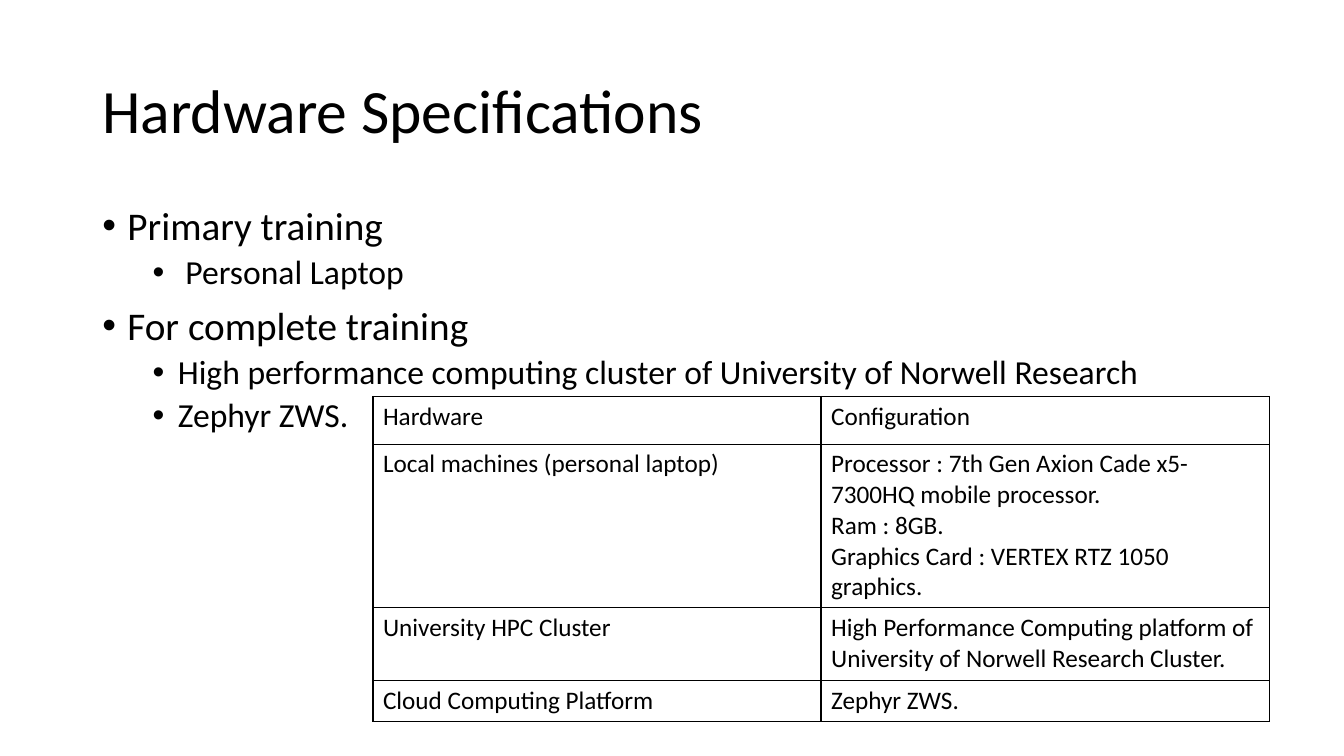
import dataclasses
import pptx
import pptx.dml.color
import pptx.enum.text
import pptx.oxml
import pptx.oxml.ns
import pptx.slide
import pptx.util

COLUMNS, ROWS = 160, 90
CELL = pptx.util.Inches(7.5) // ROWS
BLACK = pptx.dml.color.RGBColor(0, 0, 0)
WHITE = pptx.dml.color.RGBColor(255, 255, 255)
FONT = "Calibri"


@dataclasses.dataclass(frozen=True)
class Area:
    column: float
    row: float
    columns: float
    rows: float

    def lengths(self) -> list[int]:
        return [grid(n) for n in dataclasses.astuple(self)]


@dataclasses.dataclass(frozen=True)
class Level:
    size: int
    before: int
    indent: float


@dataclasses.dataclass(frozen=True)
class Bullet:
    text: str
    level: int


@dataclasses.dataclass(frozen=True)
class Machine:
    hardware: str
    configuration: str
    rows: float


TITLE_AREA = Area(11, 4.8, 138, 17.4)
BODY_AREA = Area(11, 24, 138, 57.1)
TABLE_AREA = Area(44.4, 47.2, 106.7, 38.5)
LEVELS = [Level(28, 10, 3), Level(24, 5, 9)]
HANGING = 3

TRAINING = [
    Bullet("Primary training", 0),
    Bullet(" Personal Laptop", 1),
    Bullet("For complete training", 0),
    Bullet("High performance computing cluster of University of Norwell Research", 1),
    Bullet("Zephyr ZWS.", 1),
]
MACHINES = [
    Machine("Hardware", "Configuration", 5.64),
    Machine(
        "Local machines (personal laptop)",
        "Processor : 7th Gen Axion Cade x5-7300HQ mobile processor.\n"
        "Ram : 8GB.\nGraphics Card : VERTEX RTZ 1050 graphics.",
        19.5,
    ),
    Machine(
        "University HPC Cluster",
        "High Performance Computing platform of\nUniversity of Norwell Research Cluster.",
        8.64,
    ),
    Machine("Cloud Computing Platform", "Zephyr ZWS.", 4.72),
]


def grid(cells: float) -> int:
    return round(cells * CELL)


def apply(target: object, values: dict[str, object]) -> None:
    for name, value in values.items():
        setattr(target, name, value)


def style_font(font: object, size: float) -> None:
    apply(font, {"name": FONT, "size": pptx.util.Pt(size)})
    font.color.rgb = BLACK


def add_text(slide: pptx.slide.Slide, area: Area, anchor: object) -> object:
    frame = slide.shapes.add_textbox(*area.lengths()).text_frame
    apply(frame, {
        "word_wrap": True,
        "auto_size": pptx.enum.text.MSO_AUTO_SIZE.NONE,
        "vertical_anchor": anchor,
    })
    return frame


def add_title(slide: pptx.slide.Slide) -> None:
    frame = add_text(slide, TITLE_AREA, pptx.enum.text.MSO_ANCHOR.MIDDLE)
    heading = frame.paragraphs[0]
    apply(heading, {"text": "Hardware Specifications", "line_spacing": 0.9})
    style_font(heading.runs[0].font, 44)


def add_training(slide: pptx.slide.Slide) -> None:
    frame = add_text(slide, BODY_AREA, pptx.enum.text.MSO_ANCHOR.TOP)
    for index, bullet in enumerate(TRAINING):
        level = LEVELS[bullet.level]
        point = frame.add_paragraph() if index else frame.paragraphs[0]
        apply(point, {
            "text": bullet.text,
            "level": bullet.level,
            "line_spacing": 0.9,
            "space_before": pptx.util.Pt(level.before),
        })
        style_font(point.runs[0].font, level.size)
        properties = point._p.get_or_add_pPr()
        properties.set("marL", str(grid(level.indent)))
        properties.set("indent", str(-grid(HANGING)))
        namespace = pptx.oxml.ns.nsdecls("a")
        for mark in ('buFont {} typeface="Arial"', 'buChar {} char="•"'):
            properties.append(pptx.oxml.parse_xml(f"<a:{mark.format(namespace)}/>"))


def add_borders(cell: object, widths: dict[str, float]) -> None:
    properties = cell._tc.get_or_add_tcPr()
    for index, (side, width) in enumerate(widths.items()):
        properties.insert(index, pptx.oxml.parse_xml(
            f'<a:{side} {pptx.oxml.ns.nsdecls("a")} w="{pptx.util.Pt(width)}">'
            f'<a:solidFill><a:srgbClr val="{BLACK}"/></a:solidFill></a:{side}>'
        ))


def add_machines(slide: pptx.slide.Slide) -> None:
    table = slide.shapes.add_table(len(MACHINES), 2, *TABLE_AREA.lengths()).table
    apply(table, {"first_row": False, "horz_banding": False})
    for column in table.columns:
        column.width = grid(TABLE_AREA.columns / 2)
    last = len(MACHINES) - 1
    for index, machine in enumerate(MACHINES):
        table.rows[index].height = grid(machine.rows)
        for column, text in enumerate((machine.hardware, machine.configuration)):
            cell = table.cell(index, column)
            cell.text = text
            cell.fill.background()
            for line in cell.text_frame.paragraphs:
                style_font(line.runs[0].font, 18)
            add_borders(cell, {
                "lnL": 1,
                "lnR": 1,
                "lnT": 0.5 if index else 1,
                "lnB": 0.5 if index < last else 1,
            })


def main() -> None:
    deck = pptx.Presentation()
    apply(deck, {"slide_width": grid(COLUMNS), "slide_height": grid(ROWS)})
    slide = deck.slides.add_slide(deck.slide_layouts[6])
    slide.background.fill.solid()
    slide.background.fill.fore_color.rgb = WHITE
    add_machines(slide)
    add_title(slide)
    add_training(slide)
    deck.save("out.pptx")


if __name__ == "__main__":
    main()
